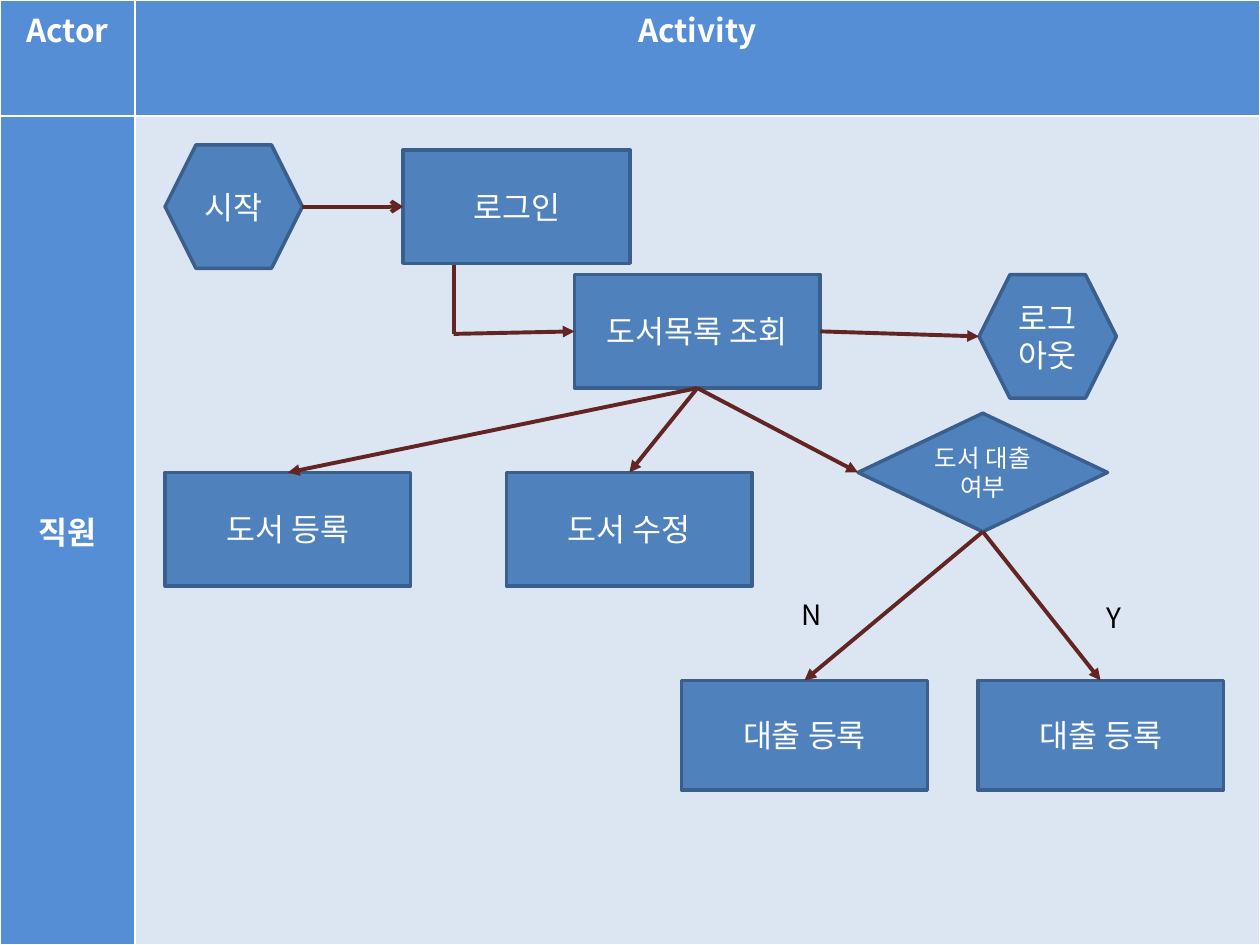
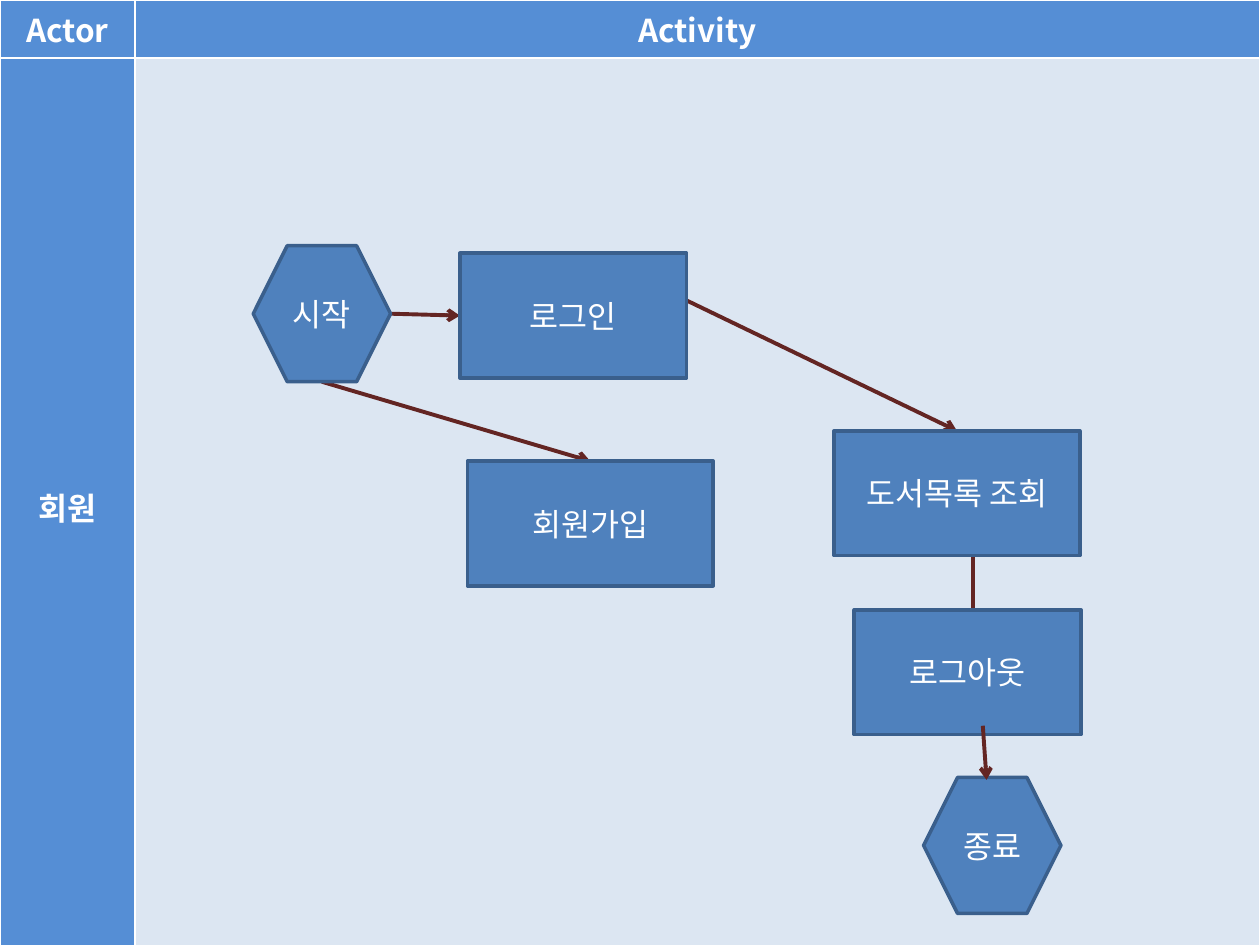
from lxml.etree import SubElement
from pptx import Presentation
from pptx.dml.color import RGBColor
from pptx.enum.shapes import MSO_CONNECTOR, MSO_SHAPE
from pptx.enum.text import MSO_ANCHOR, PP_ALIGN
from pptx.oxml.ns import qn
from pptx.util import Inches, Pt

FONT = "Noto Sans CJK KR"
COLORS = {
    "head": "558ED5",
    "lane": "DCE6F2",
    "node": "4F81BD",
    "edge": "3A5F8C",
    "link": "632523",
    "white": "FFFFFF",
    "black": "000000",
}
ACTOR_W, SLIDE_W, SLIDE_H = 1.07, 10, 7.5
HEX, RECT, DECISION = MSO_SHAPE.HEXAGON, MSO_SHAPE.RECTANGLE, MSO_SHAPE.FLOWCHART_DECISION
SIDES = {"left": (0, 0.5), "right": (1, 0.5), "top": (0.5, 0), "bottom": (0.5, 1)}


def color(name):
    """Return the palette colour of that name."""
    return RGBColor.from_string(COLORS[name])


def write(tf, text, size=18, fill="white", bold=False, align=PP_ALIGN.CENTER):
    """Put one formatted line of text into a text frame."""
    p = tf.paragraphs[0]
    p.alignment = align
    r = p.add_run()
    r.text = text
    r.font.size, r.font.bold, r.font.name = Pt(size), bold, FONT
    r.font.color.rgb = color(fill)
    SubElement(r._r.get_or_add_rPr(), qn("a:ea"), typeface=FONT)


def add_swimlane(s, actor, head_h, height, head_anchor):
    """Draw the actor and activity table and return the origin of its lane."""
    frame = s.shapes.add_table(2, 2, 0, 0, Inches(SLIDE_W), Inches(height))
    table = frame.table
    table.first_col, table.horz_banding = True, False
    for col, w in zip(table.columns, (ACTOR_W, SLIDE_W - ACTOR_W)):
        col.width = Inches(w)
    for row, h in zip(table.rows, (head_h, height - head_h)):
        row.height = Inches(h)
    cells = [
        (0, 0, "Actor", "head", head_anchor),
        (0, 1, "Activity", "head", head_anchor),
        (1, 0, actor, "head", MSO_ANCHOR.MIDDLE),
        (1, 1, "", "lane", MSO_ANCHOR.TOP),
    ]
    for i, j, text, fill, anchor in cells:
        cell = table.cell(i, j)
        cell.fill.solid()
        cell.fill.fore_color.rgb = color(fill)
        cell.vertical_anchor = anchor
        if text:
            write(cell.text_frame, text, bold=True)
    return ACTOR_W, head_h


def add_node(s, origin, kind, text, box, size=18):
    """Draw one step of the flow in a box relative to the lane."""
    x, y, w, h = box
    sp = s.shapes.add_shape(kind, Inches(origin[0] + x), Inches(origin[1] + y), Inches(w), Inches(h))
    sp.shadow.inherit = False
    sp.fill.solid()
    sp.fill.fore_color.rgb = color("node")
    sp.line.color.rgb = color("edge")
    sp.line.width = Pt(2)
    sp.text_frame.word_wrap = True
    sp.text_frame.vertical_anchor = MSO_ANCHOR.MIDDLE
    write(sp.text_frame, text, size)


def add_link(s, origin, nodes, start, end, head):
    """Join two ends, each a lane point or a node name with a side."""
    ends = []
    for a, b in (start, end):
        if a in nodes:
            x, y, w, h = nodes[a][2]
            fx, fy = SIDES[b]
            a, b = x + w * fx, y + h * fy
        ends += [Inches(origin[0] + a), Inches(origin[1] + b)]
    c = s.shapes.add_connector(MSO_CONNECTOR.STRAIGHT, *ends)
    c.line.color.rgb = color("link")
    c.line.width = Pt(2.25)
    if head:
        SubElement(c.line._get_or_add_ln(), qn("a:tailEnd"), type=head)
    SubElement(c._element.spPr, qn("a:effectLst"))


def add_label(s, origin, text, box):
    """Write the answer beside a branch of a decision."""
    x, y, w, h = box
    sp = s.shapes.add_textbox(Inches(origin[0] + x), Inches(origin[1] + y), Inches(w), Inches(h))
    write(sp.text_frame, text, size=16, fill="black", align=PP_ALIGN.LEFT)


def add_flow(s, origin, nodes, under=(), over=(), labels=()):
    """Draw a flow in the lane, with links under and over its nodes."""
    for link in under:
        add_link(s, origin, nodes, *link)
    for node in nodes.values():
        add_node(s, origin, *node)
    for link in over:
        add_link(s, origin, nodes, *link)
    for label in labels:
        add_label(s, origin, *label)


def staff_slide(prs):
    """Build the flow of the staff."""
    s = prs.slides.add_slide(prs.slide_layouts[6])
    origin = add_swimlane(s, "직원", 0.92, SLIDE_H, MSO_ANCHOR.TOP)
    w, h = 1.95, 0.9
    nodes = {
        "start": (HEX, "시작", (0.24, 0.23, 1.09, 0.98)),
        "login": (RECT, "로그인", (2.13, 0.27, 1.8, h)),
        "list": (RECT, "도서목록 조회", (3.49, 1.26, w, h)),
        "logout": (HEX, "로그아웃", (6.7, 1.26, 1.09, 0.98)),
        "add": (RECT, "도서 등록", (0.24, 2.83, w, h)),
        "edit": (RECT, "도서 수정", (2.95, 2.83, w, h)),
        "lent": (DECISION, "도서 대출 여부", (5.74, 2.36, 1.98, 0.94), 14),
        "no": (RECT, "대출 등록", (4.34, 4.48, w, 0.87)),
        "yes": (RECT, "대출 등록", (6.69, 4.48, w, 0.87)),
    }
    corner = (2.53, 1.73)
    links = [
        (("start", "right"), ("login", "left"), "arrow"),
        ((2.53, 1.18), corner, None),
        (corner, ("list", "left"), "triangle"),
        (("list", "right"), ("logout", "left"), "triangle"),
        (("list", "bottom"), ("add", "top"), "triangle"),
        (("list", "bottom"), ("edit", "top"), "triangle"),
        (("list", "bottom"), ("lent", "left"), "triangle"),
        (("lent", "bottom"), ("no", "top"), "triangle"),
        (("lent", "bottom"), ("yes", "top"), "triangle"),
    ]
    labels = [("Y", (7.61, 3.8, 0.33, 0.37)), ("N", (5.19, 3.77, 0.36, 0.37))]
    add_flow(s, origin, nodes, over=links, labels=labels)


def member_slide(prs):
    """Build the flow of the members."""
    s = prs.slides.add_slide(prs.slide_layouts[6])
    origin = add_swimlane(s, "회원", 0.46, 7.58, MSO_ANCHOR.MIDDLE)
    w, h = 1.95, 0.99
    nodes = {
        "start": (HEX, "시작", (0.94, 1.49, 1.09, 1.08)),
        "login": (RECT, "로그인", (2.58, 1.55, 1.8, h)),
        "join": (RECT, "회원가입", (2.64, 3.2, w, h)),
        "list": (RECT, "도서목록 조회", (5.55, 2.96, w, h)),
        "logout": (RECT, "로그아웃", (5.71, 4.38, 1.8, h)),
        "end": (HEX, "종료", (6.26, 5.71, 1.09, 1.08)),
    }
    under = [
        (("start", "right"), ("login", "left"), "arrow"),
        (("start", "bottom"), ("join", "top"), "arrow"),
        ((4.37, 1.92), ("list", "top"), "arrow"),
        ((6.65, 3.96), (6.65, 4.51), "arrow"),
    ]
    over = [((6.73, 5.3), (6.76, 5.73), "arrow")]
    add_flow(s, origin, nodes, under, over)


def main():
    """Build and save the presentation."""
    prs = Presentation()
    prs.slide_width, prs.slide_height = Inches(SLIDE_W), Inches(SLIDE_H)
    staff_slide(prs)
    member_slide(prs)
    prs.save("out.pptx")


main()
